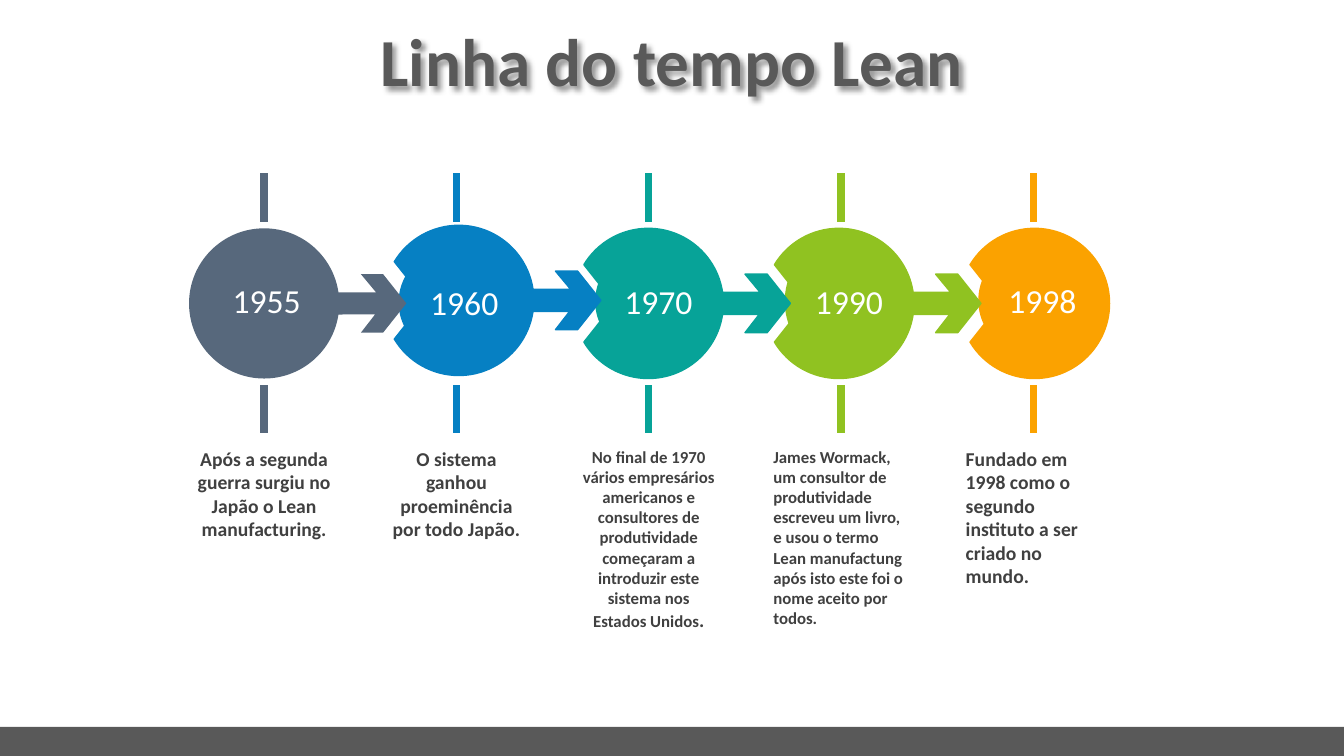
import math

from lxml import etree
from pptx import Presentation
from pptx.enum import shapes, text
from pptx.oxml import ns
from pptx.util import Inches, Pt
from pptx.dml.color import RGBColor

COLORS = {
    "slate": "57687C", "blue": "0680C3", "teal": "07A398", "green": "90C221",
    "orange": "FBA200", "title": "595959", "body": "404040", "white": "FFFFFF",
}
CENTER, LEFT = text.PP_ALIGN.CENTER, text.PP_ALIGN.LEFT

# Ring geometry, in inches from the ring's centre
OUTER, INNER = 1.49 / 2, 1.03 / 2
OUTER_CUT, INNER_CUT, ARROW_CUT = 149, 159, 8.5
ARROW = [(1.11, -0.11), (0.96, -0.29), (1.18, -0.29), (1.41, 0),
         (1.18, 0.29), (0.96, 0.29), (1.1, 0.11)]
TAIL = [(-0.74, -0.09), (-0.67, 0), (-0.74, 0.09), (-0.75, 0)]

# Timeline: colour, year, ring centre, disc box, text, size, alignment
STAGES = [
    ("slate", "1955", (2.62, 3.01), (2, 2.39, 1.29, 1.18),
     "Após a segunda guerra surgiu no Japão o Lean manufacturing.", 14, CENTER),
    ("blue", "1960", (4.55, 2.98), (3.96, 2.42, 1.29, 1.16),
     "O sistema ganhou proeminência por todo Japão.", 14, CENTER),
    ("teal", "1970", (6.43, 3.01), (5.91, 2.42, 1.24, 1.14),
     "No final de 1970 vários empresários americanos e consultores de "
     "produtividade começaram a introduzir este sistema nos Estados Unidos", 12, CENTER),
    ("green", "1990", (8.32, 3.01), (7.79, 2.34, 1.26, 1.3),
     "James Wormack, um consultor de produtividade escreveu um livro, e usou o "
     "termo Lean manufactung após isto este foi o nome aceito por todos.", 12, LEFT),
    ("orange", "1998", (10.26, 3.01), (9.71, 2.4, 1.26, 1.16),
     "Fundado em 1998 como o segundo instituto a ser criado no mundo.", 14, LEFT),
]
FIRST_POLE, POLE_SPAN = 2.62, 7.63


def rgb(name):
    return RGBColor.from_string(COLORS[name])


def lines(points):
    return [(point,) for point in points]


def arc(radius, start, end):
    """Steps of an arc: its first point, then one Bézier curve per quadrant."""
    quarters = [q for q in (-90, 0, 90) if min(start, end) < q < max(start, end)]
    stops = sorted([start, *quarters, end], reverse=start > end)
    angles = [math.radians(stop) for stop in stops]
    steps = lines([(radius * math.cos(angles[0]), radius * math.sin(angles[0]))])
    for a, b in zip(angles, angles[1:]):
        pull = 4 / 3 * math.tan((b - a) / 4)
        steps.append((
            (radius * (math.cos(a) - pull * math.sin(a)),
             radius * (math.sin(a) + pull * math.cos(a))),
            (radius * (math.cos(b) + pull * math.sin(b)),
             radius * (math.sin(b) - pull * math.cos(b))),
            (radius * math.cos(b), radius * math.sin(b))))
    return steps


def ring_contours(is_first, is_last):
    cut = 180 if is_first else OUTER_CUT
    if is_last:
        outline = arc(OUTER, -cut, cut)
    else:
        outline = arc(OUTER, -cut, -ARROW_CUT) + lines(ARROW) + arc(OUTER, ARROW_CUT, cut)
    if is_first:
        return [outline, arc(INNER, -180, 180)]
    return [outline + arc(INNER, INNER_CUT, -INNER_CUT), lines(TAIL)]


def write(paragraph, words, size=14, color="body", bold=False, align=CENTER):
    paragraph.alignment = align
    span = paragraph.add_run()
    span.text = words
    font = span.font
    font.name, font.size, font.bold = "Calibri", Pt(size), bold
    font.color.rgb = rgb(color)


class TimelinePage:
    def __init__(self, deck):
        self.page = deck.slides.add_slide(deck.slide_layouts[6])
        self.shapes = self.page.shapes

    def paint(self, shape, color, outlined=True):
        shape.shadow.inherit = False
        shape.fill.solid()
        shape.fill.fore_color.rgb = rgb(color)
        if outlined:
            shape.line.color.rgb = rgb(color)
            shape.line.width = Pt(1)
        else:
            shape.line.fill.background()

    def preset(self, kind, place, color, outlined=True):
        shape = self.shapes.add_shape(kind, *map(Inches, place))
        self.paint(shape, color, outlined)
        return shape

    def disc(self, place, color, year):
        disc = self.preset(shapes.MSO_SHAPE.OVAL, place, color)
        disc.text_frame.vertical_anchor = text.MSO_ANCHOR.MIDDLE
        write(disc.text_frame.paragraphs[0], year, size=24, color="white")

    def ring(self, center, color, contours, outlined):
        placed = [[[(Inches(center[0] + x), Inches(center[1] + y)) for x, y in step]
                   for step in contour] for contour in contours]
        builder = self.shapes.build_freeform(*placed[0][0][-1])
        for contour in placed:
            if contour is not placed[0]:
                builder.move_to(*contour[0][-1])
            builder.add_line_segments([step[-1] for step in contour[1:]])
        ring = builder.convert_to_shape()
        self.paint(ring, color, outlined)
        # Bend the segments that have control points
        segments = ring._element.findall(".//" + ns.qn("a:lnTo"))
        steps = [step for contour in placed for step in contour[1:]]
        for segment, step in zip(segments, steps):
            if len(step) == 3:
                curve = etree.Element(ns.qn("a:cubicBezTo"))
                for x, y in step:
                    etree.SubElement(curve, ns.qn("a:pt"),
                                     x=str(x - ring.left), y=str(y - ring.top))
                segment.getparent().replace(segment, curve)

    def pole(self, x, top, bottom, color):
        pole = self.shapes.add_connector(
            shapes.MSO_CONNECTOR.STRAIGHT, Inches(x), Inches(top), Inches(x), Inches(bottom))
        pole.line.color.rgb = rgb(color)
        pole.line.width = Pt(5.25)
        etree.SubElement(pole._element.spPr, ns.qn("a:effectLst"))

    def text_box(self, place, words, **style):
        box = self.shapes.add_textbox(*map(Inches, place))
        box.text_frame.word_wrap = True
        write(box.text_frame.paragraphs[0], words, **style)
        return box

    def title(self, place, words):
        box = self.text_box(place, words, size=48, color="title", bold=True)
        box.text_frame.vertical_anchor = text.MSO_ANCHOR.MIDDLE
        box.text_frame.paragraphs[0].line_spacing = 0.9
        # Soft shadow behind the letters
        effects = etree.SubElement(box._element.spPr, ns.qn("a:effectLst"))
        shadow = etree.SubElement(effects, ns.qn("a:outerShdw"), blurRad="50800",
                                  dist="38100", dir="2700000", algn="tl", rotWithShape="0")
        black = etree.SubElement(shadow, ns.qn("a:srgbClr"), val="000000")
        etree.SubElement(black, ns.qn("a:alpha"), val="40000")


def main():
    deck = Presentation()
    deck.slide_width, deck.slide_height = Inches(13.33), Inches(7.5)
    timeline = TimelinePage(deck)
    last = len(STAGES) - 1

    # Footer bar, discs and title
    timeline.preset(shapes.MSO_SHAPE.RECTANGLE, (0, 7.21, 13.33, 0.29), "title", outlined=False)
    for color, year, _, disc_place, *_ in reversed(STAGES):
        timeline.disc(disc_place, color, year)
    timeline.title((0, 0.22, 13.33, 0.85), "Linha do tempo Lean")

    # Rings, last first so that each arrow overlaps the next ring
    for index in range(last, -1, -1):
        color, _, center = STAGES[index][:3]
        timeline.ring(center, color, ring_contours(index == 0, index == last),
                      outlined=index > 0)

    # Poles and descriptions
    for index, (color, year, _, _, words, size, align) in enumerate(STAGES):
        x = FIRST_POLE + POLE_SPAN * index / last
        timeline.pole(x, 1.72, 2.2, color)
        timeline.pole(x, 3.82, 4.3, color)
        height = 1.04 if index < 2 else 1.51 if index == last else 1.95
        box = timeline.text_box((x - 0.77, 4.38, 1.54, height), words,
                                size=size, bold=True, align=align)
        box.text_frame.auto_size = text.MSO_AUTO_SIZE.SHAPE_TO_FIT_TEXT
        if year == "1970":
            write(box.text_frame.paragraphs[0], ".", size=14, bold=True)

    deck.save("out.pptx")


if __name__ == "__main__":
    main()
